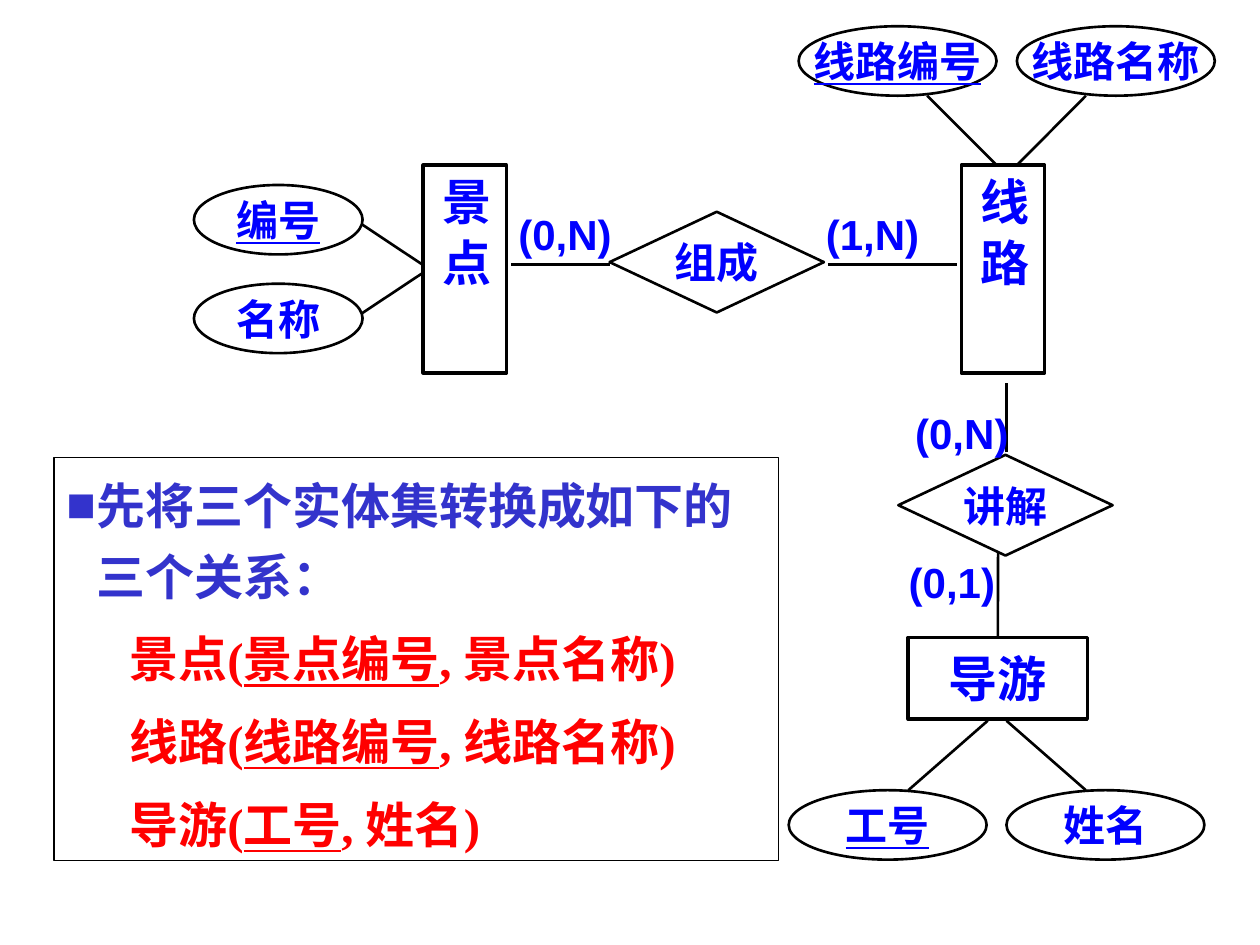
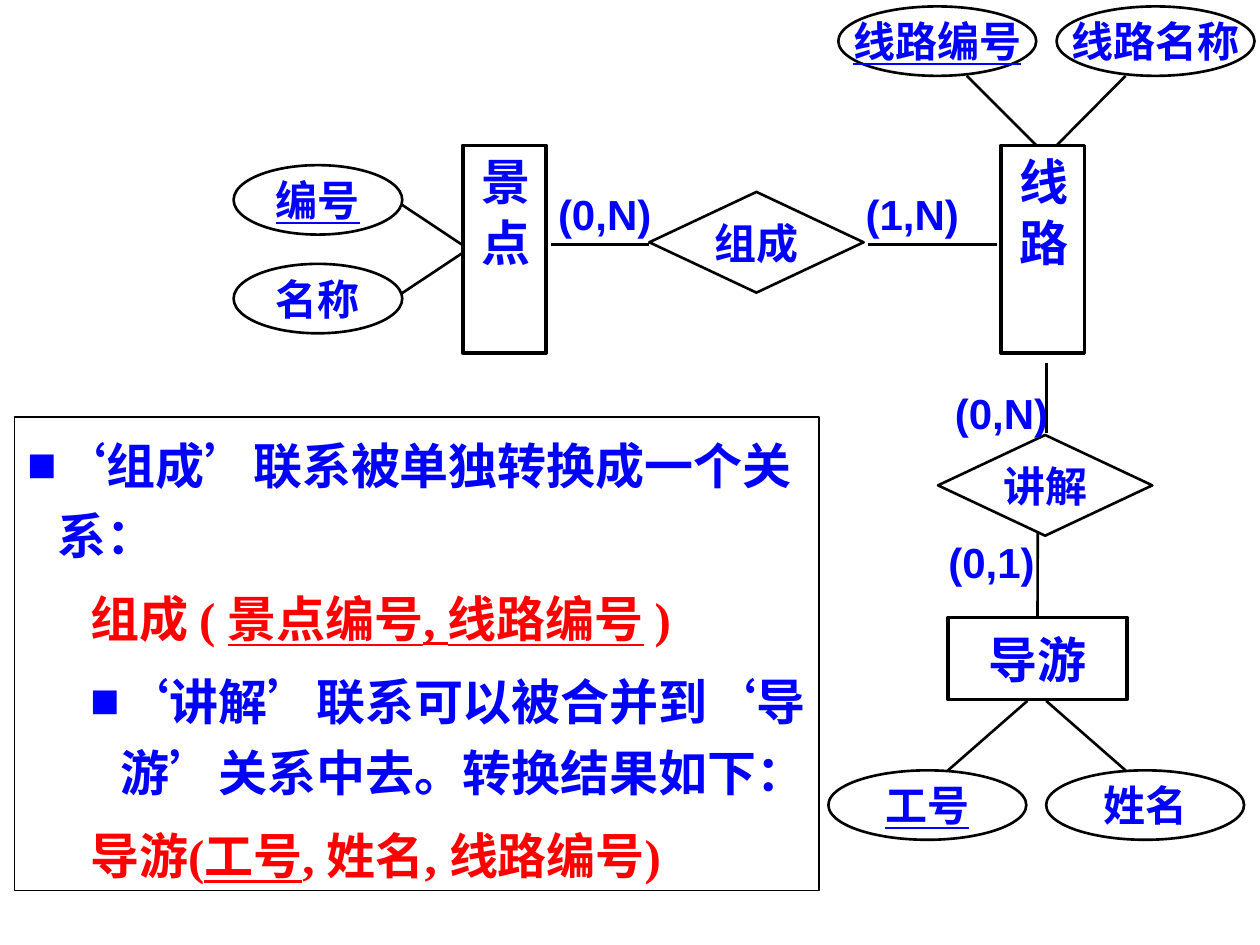
import dataclasses

import lxml.etree
import pptx
import pptx.dml.color
import pptx.enum.shapes
import pptx.enum.text
import pptx.oxml.ns
import pptx.util

Cm = pptx.util.Cm
Pt = pptx.util.Pt
qn = pptx.oxml.ns.qn
SHAPES = pptx.enum.shapes.MSO_SHAPE
ANCHOR = pptx.enum.text.MSO_ANCHOR
ALIGN = pptx.enum.text.PP_ALIGN

BLACK, BLUE, INDIGO, RED = "000000", "0000FF", "3333CC", "FF0000"
SANS, SERIF, CHINESE = "Arial", "Times New Roman", "Noto Sans CJK SC"
BULLET_WIDTH = 0.61
RELATION_INDENT = 1.27
LABEL_WIDTH, LABEL_HEIGHT = 2, 0.79


@dataclasses.dataclass(frozen=True)
class Style:
    preset: pptx.enum.shapes.MSO_SHAPE
    width: float
    height: float
    line: float
    size: int = 24
    before: float = 0
    insets: tuple[float, float] = (0.25, 0.13)
    wrap: bool = False
    vertical: bool = False


TALL_ENTITY = Style(SHAPES.RECTANGLE, 1.68, 4.19, 2, 28, 17.5, (0.23, 0.25), True, True)
WIDE_ENTITY = Style(SHAPES.RECTANGLE, 3.61, 1.65, 2, 28, 17.5, (0.25, 0.23), True)
SHORT_ATTRIBUTE = Style(SHAPES.OVAL, 3.4, 1.4, 1.5)
LONG_ATTRIBUTE = Style(SHAPES.OVAL, 3.99, 1.4, 1.5)
RELATIONSHIP = Style(SHAPES.DIAMOND, 4.32, 2.03, 1.5, 24, 15, (0, 0), True)


@dataclasses.dataclass(frozen=True)
class Node:
    style: Style
    left: float
    top: float
    text: str
    key: bool = False
    font: str = CHINESE


@dataclasses.dataclass(frozen=True)
class Label:
    left: float
    top: float
    text: str


@dataclasses.dataclass(frozen=True)
class Link:
    start: tuple[float, float]
    end: tuple[float, float]
    start_entity: str = ""
    start_side: int = 0


@dataclasses.dataclass(frozen=True)
class Line:
    runs: tuple[str, ...]
    color: str
    indent: float
    bullet: bool = False


@dataclasses.dataclass(frozen=True)
class Panel:
    left: float
    top: float
    width: float
    height: float
    lines: tuple[Line, ...]


@dataclasses.dataclass(frozen=True)
class Page:
    shift: tuple[float, float]
    panel: Panel


NODES = (
    Node(TALL_ENTITY, 8.53, 3.33, "景 点"),
    Node(SHORT_ATTRIBUTE, 3.91, 3.73, "编号", True, SANS),
    Node(SHORT_ATTRIBUTE, 3.91, 5.72, "名称", font=SERIF),
    Node(TALL_ENTITY, 19.38, 3.33, "线 路"),
    Node(LONG_ATTRIBUTE, 16.1, 0.53, "线路编号", True),
    Node(LONG_ATTRIBUTE, 20.5, 0.53, "线路名称"),
    Node(RELATIONSHIP, 12.29, 4.27, "组成"),
    Node(RELATIONSHIP, 18.11, 9.17, "讲解"),
    Node(WIDE_ENTITY, 18.31, 12.85, "导游"),
    Node(LONG_ATTRIBUTE, 15.9, 15.93, "工号", True),
    Node(LONG_ATTRIBUTE, 20.29, 15.93, "姓名"),
)
LABELS = (
    Label(10.39, 4.32, "(0,N)"),
    Label(16.59, 4.32, "(1,N)"),
    Label(18.19, 11.33, "(0,1)"),
    Label(18.39, 8.33, "(0,N)"),
)
LINKS = (
    Link((7.29, 4.52), (8.51, 5.33)),
    Link((7.29, 6.32), (8.51, 5.51)),
    Link((20.5, 3.33), (21.89, 1.93)),
    Link((18.69, 1.93), (20.09, 3.33)),
    Link((10.31, 5.33), (12.29, 5.33)),
    Link((16.69, 5.33), (19.3, 5.33)),
    Link((20.12, 12.85), (20.12, 11.13), "导游", 0),
    Link((20.29, 9.12), (20.29, 7.72)),
    Link((20.29, 14.53), (21.89, 15.93)),
    Link((18.31, 15.93), (19.91, 14.53)),
)


def heading(text: str, color: str, indent: float = 0) -> Line:
    return Line((text,), color, indent + BULLET_WIDTH, True)


def relation(opening: str, key: str, closing: str) -> Line:
    return Line((opening, key, closing), RED, RELATION_INDENT)


PAGES = (
    Page((0, 0), Panel(1.09, 9.22, 14.6, 8.13, (
        heading("先将三个实体集转换成如下的三个关系：", INDIGO),
        relation("景点(", "景点编号", ", 景点名称)"),
        relation("线路(", "线路编号", ", 线路名称)"),
        relation("导游(", "工号", ", 姓名)"),
    ))),
    Page((0.8, -0.4), Panel(0.3, 8.41, 16.21, 9.55, (
        heading("‘组成’联系被单独转换成一个关系：", BLUE),
        relation("组成 ( ", "景点编号, 线路编号", " )"),
        heading("‘讲解’联系可以被合并到‘导游’关系中去。转换结果如下：", BLUE, RELATION_INDENT),
        relation("导游(", "工号", ", 姓名, 线路编号)"),
    ))),
)


def rgb(color: str) -> pptx.dml.color.RGBColor:
    return pptx.dml.color.RGBColor.from_string(color)


def add_text(paragraph, text: str, *, size: int = 24, font: str = CHINESE,
             color: str = BLUE, underline: bool = False) -> None:
    run = paragraph.add_run()
    run.text = text
    run.font.size = Pt(size)
    run.font.name = font
    run.font.bold = True
    run.font.underline = underline
    run.font.color.rgb = rgb(color)
    east_asian = lxml.etree.SubElement(run.font._element, qn("a:ea"))
    east_asian.set("typeface", CHINESE)


def set_frame(shape, insets: tuple[float, float], wrap: bool, anchor=ANCHOR.MIDDLE):
    frame = shape.text_frame
    frame.margin_left = frame.margin_right = Cm(insets[0])
    frame.margin_top = frame.margin_bottom = Cm(insets[1])
    frame.word_wrap = wrap
    frame.vertical_anchor = anchor
    return frame


def add_outline(slide, preset, left: float, top: float, width: float,
                height: float, line: float):
    shape = slide.shapes.add_shape(preset, Cm(left), Cm(top), Cm(width), Cm(height))
    shape.shadow.inherit = False
    shape.fill.background()
    shape.line.color.rgb = rgb(BLACK)
    shape.line.width = Pt(line)
    return shape


def add_node(slide, node: Node, shift: tuple[float, float]):
    style = node.style
    shape = add_outline(slide, style.preset, node.left + shift[0], node.top + shift[1],
                        style.width, style.height, style.line)
    frame = set_frame(shape, style.insets, style.wrap)
    if style.vertical:
        frame.auto_size = pptx.enum.text.MSO_AUTO_SIZE.SHAPE_TO_FIT_TEXT
        shape.element.txBody.bodyPr.set("vert", "eaVert")
    paragraph = frame.paragraphs[0]
    paragraph.alignment = ALIGN.CENTER
    paragraph.space_before = Pt(style.before)
    add_text(paragraph, node.text, size=style.size, font=node.font, underline=node.key)
    return shape


def add_label(slide, label: Label, shift: tuple[float, float]) -> None:
    shape = slide.shapes.add_textbox(Cm(label.left + shift[0]), Cm(label.top + shift[1]),
                                     Cm(LABEL_WIDTH), Cm(LABEL_HEIGHT))
    paragraph = set_frame(shape, (0, 0), False).paragraphs[0]
    paragraph.alignment = ALIGN.CENTER
    add_text(paragraph, label.text, font=SANS)


def add_link(slide, link: Link, shift: tuple[float, float], entities: dict) -> None:
    ends = [Cm(value + offset) for point in (link.start, link.end)
            for value, offset in zip(point, shift)]
    connector = slide.shapes.add_connector(pptx.enum.shapes.MSO_CONNECTOR.STRAIGHT, *ends)
    connector.line.color.rgb = rgb(BLACK)
    connector.line.width = Pt(1.5)
    lxml.etree.SubElement(connector.element.spPr, qn("a:effectLst"))
    if link.start_entity:
        connector.begin_connect(entities[link.start_entity], link.start_side)


def set_bullet(properties, color: str) -> None:
    bullet_color = lxml.etree.SubElement(properties, qn("a:buClr"))
    lxml.etree.SubElement(bullet_color, qn("a:srgbClr")).set("val", color)
    lxml.etree.SubElement(properties, qn("a:buFont")).set("typeface", SERIF)
    lxml.etree.SubElement(properties, qn("a:buChar")).set("char", "■")


def add_panel(slide, panel: Panel) -> None:
    shape = add_outline(slide, SHAPES.RECTANGLE, panel.left, panel.top,
                        panel.width, panel.height, 0.75)
    frame = set_frame(shape, (0.25, 0.13), True, ANCHOR.TOP)
    for index, line in enumerate(panel.lines):
        paragraph = frame.add_paragraph() if index else frame.paragraphs[0]
        paragraph.alignment = ALIGN.LEFT
        paragraph.line_spacing = 1.2
        paragraph.space_before = Pt(7)
        properties = paragraph._p.get_or_add_pPr()
        properties.set("marL", str(Cm(line.indent)))
        properties.set("indent", str(Cm(-BULLET_WIDTH if line.bullet else 0)))
        if line.bullet:
            set_bullet(properties, line.color)
        for position, text in enumerate(line.runs):
            add_text(paragraph, text, size=28, font=SERIF, color=line.color,
                     underline=position == 1)


def add_page(presentation, page: Page) -> None:
    slide = presentation.slides.add_slide(presentation.slide_layouts[6])
    entities = {node.text: add_node(slide, node, page.shift) for node in NODES}
    for link in LINKS:
        add_link(slide, link, page.shift, entities)
    for label in LABELS:
        add_label(slide, label, page.shift)
    add_panel(slide, page.panel)


def main() -> None:
    presentation = pptx.Presentation()
    presentation.slide_width = Cm(25.4)
    presentation.slide_height = Cm(19.05)
    for page in PAGES:
        add_page(presentation, page)
    presentation.save("out.pptx")


if __name__ == "__main__":
    main()
